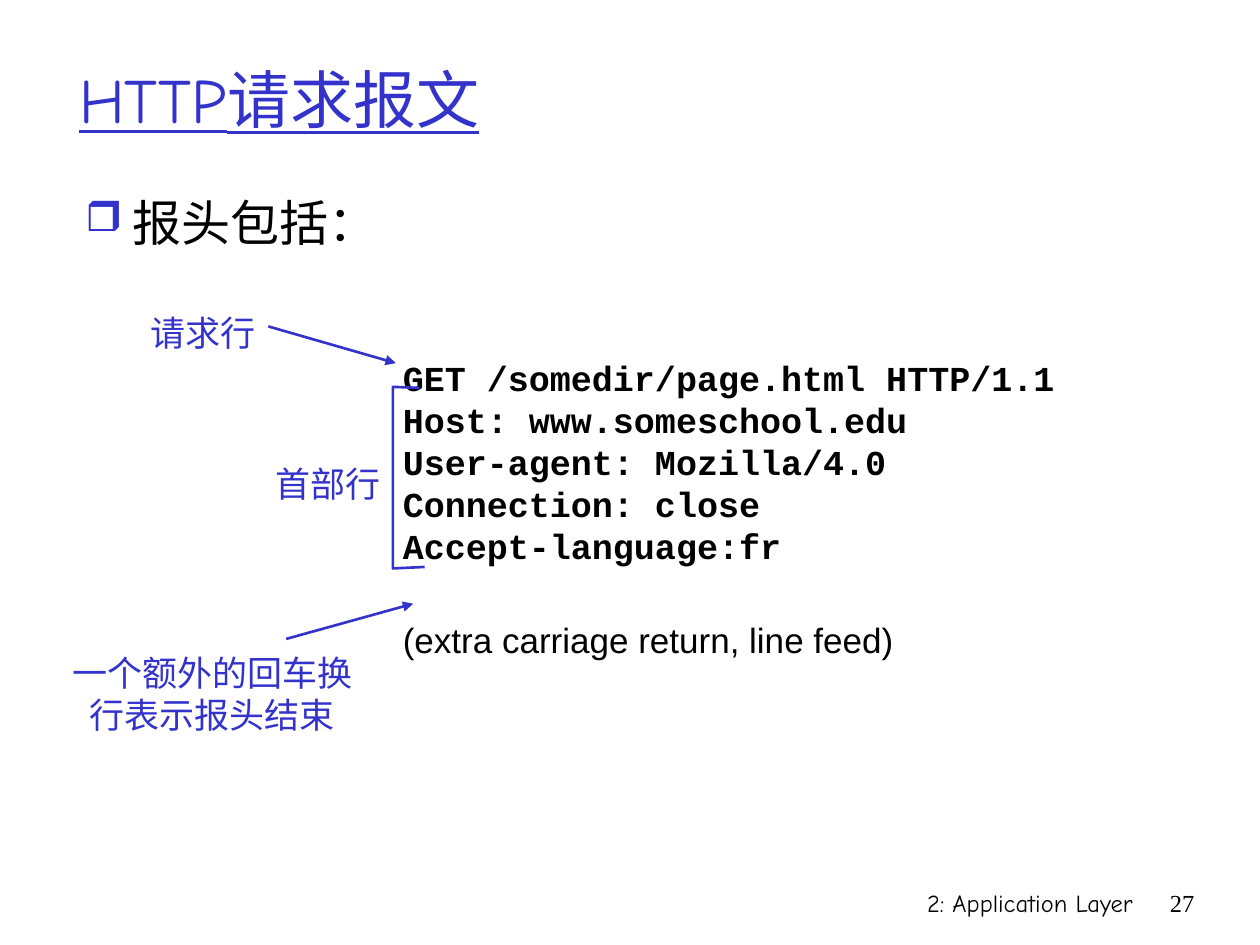
from dataclasses import dataclass

from lxml import etree
from pptx import Presentation
from pptx import util as u
from pptx.dml.color import RGBColor
from pptx.enum import shapes, text
from pptx.oxml.ns import qn

BLUE = RGBColor(0x33, 0x33, 0xCC)
BLACK = RGBColor(0, 0, 0)
WHITE = RGBColor(0xFF, 0xFF, 0xFF)
HAND = "Comic Neue"
LEFT, CENTER, RIGHT = text.PP_ALIGN.LEFT, text.PP_ALIGN.CENTER, text.PP_ALIGN.RIGHT


@dataclass(frozen=True)
class Caption:
    words: str
    box: tuple[float, float, float, float]
    size: int = 20
    color: RGBColor = BLUE
    align: text.PP_ALIGN = CENTER
    font: str = HAND
    underline: bool = False
    wrap: bool = True
    anchor: text.MSO_ANCHOR = text.MSO_ANCHOR.TOP


@dataclass(frozen=True)
class Arrow:
    start: tuple[float, float]
    end: tuple[float, float]


TITLE = Caption("HTTP请求报文", (1.35, 0.66, 21.59, 2.64), 36, align=LEFT,
                underline=True, anchor=text.MSO_ANCHOR.MIDDLE)
TOPIC = Caption("报头包括：", (1.47, 3.76, 21.59, 13.61), 28, BLACK, LEFT)
MESSAGE = Caption(
    "GET /somedir/page.html HTTP/1.1\n"
    "Host: www.someschool.edu\n"
    "User-agent: Mozilla/4.0\n"
    "Connection: close\n"
    "Accept-language:fr\n"
    "(extra carriage return, line feed)",
    (7.87, 7.06, 13.67, 6.53), color=BLACK, align=LEFT, font="Courier New", wrap=False)
CAPTIONS = (
    Caption("2: Application Layer", (15.04, 17.78, 8.05, 1.27), 14, BLACK, RIGHT),
    Caption("27", (23.06, 17.78, 1.27, 1.27), 14, BLACK, RIGHT, "Times New Roman"),
    Caption("请求行", (2.79, 6.15, 2.62, 1.12), wrap=False),
    Caption("首部行", (5.31, 9.19, 2.62, 1.12), align=RIGHT, wrap=False),
    Caption("一个额外的回车换行表示报头结束", (0.94, 13, 6.68, 1.96)),
)
ARROWS = (Arrow((5.41, 6.58), (7.98, 7.32)), Arrow((5.77, 12.88), (8.33, 12.17)))
BRACKET = ((8.46, 7.82), (7.92, 7.8), (7.92, 11.46), (8.56, 11.43))


def cm(values: tuple[float, ...]) -> tuple[u.Length, ...]:
    return tuple(u.Cm(value) for value in values)


def add_caption(slide, caption: Caption):
    frame = slide.shapes.add_textbox(*cm(caption.box)).text_frame
    frame.word_wrap = caption.wrap
    frame.vertical_anchor = caption.anchor
    frame.text = caption.words
    for line in frame.paragraphs:
        line.alignment = caption.align
        for run in line.runs:
            run.font.name = caption.font
            run.font.size = u.Pt(caption.size)
            run.font.color.rgb = caption.color
            run.font.underline = caption.underline
    return frame


def add_bullet(paragraph, symbol: str, color: RGBColor) -> None:
    props = paragraph._p.get_or_add_pPr()
    indent = u.Cm(0.96)
    props.set("marL", str(indent))
    props.set("indent", str(-indent))
    tint = etree.SubElement(props, qn("a:buClr"))
    etree.SubElement(tint, qn("a:srgbClr"), val=str(color))
    etree.SubElement(props, qn("a:buSzPct"), val="85000")
    etree.SubElement(props, qn("a:buChar"), char=symbol)


def add_message(slide, message: Caption) -> None:
    lines = add_caption(slide, message).paragraphs
    for line in lines:
        line.line_spacing = u.Pt(24)
        line.runs[0].font.bold = line is not lines[-1]
    ending = lines[-1]
    ending.space_before = u.Pt(29.6)
    ending.runs[0].font.name = "Arial"
    ending.runs[0].font.bold = False


def add_arrow(slide, arrow: Arrow) -> None:
    connector = slide.shapes.add_connector(
        shapes.MSO_CONNECTOR.STRAIGHT, *cm(arrow.start + arrow.end))
    connector.line.color.rgb = BLUE
    connector.line.width = u.Pt(1.5)
    props = connector._element.spPr
    etree.SubElement(props.find(qn("a:ln")), qn("a:tailEnd"), type="triangle")
    etree.SubElement(props, qn("a:effectLst"))


def add_bracket(slide, points: tuple[tuple[float, float], ...]) -> None:
    first, *rest = (cm(point) for point in points)
    builder = slide.shapes.build_freeform(*first)
    builder.add_line_segments(rest, close=False)
    bracket = builder.convert_to_shape()
    bracket.shadow.inherit = False
    bracket.fill.background()
    bracket.line.color.rgb = BLUE
    bracket.line.width = u.Pt(1.5)


def main() -> None:
    """Build the slide on the HTTP request message."""
    deck = Presentation()
    deck.slide_width, deck.slide_height = cm((25.4, 19.05))
    slide = deck.slides.add_slide(deck.slide_layouts[6])
    slide.background.fill.solid()
    slide.background.fill.fore_color.rgb = WHITE
    add_caption(slide, TITLE)
    add_bullet(add_caption(slide, TOPIC).paragraphs[0], "❒", BLUE)
    add_message(slide, MESSAGE)
    for caption in CAPTIONS:
        add_caption(slide, caption)
    for arrow in ARROWS:
        add_arrow(slide, arrow)
    add_bracket(slide, BRACKET)
    deck.save("out.pptx")


if __name__ == "__main__":
    main()
